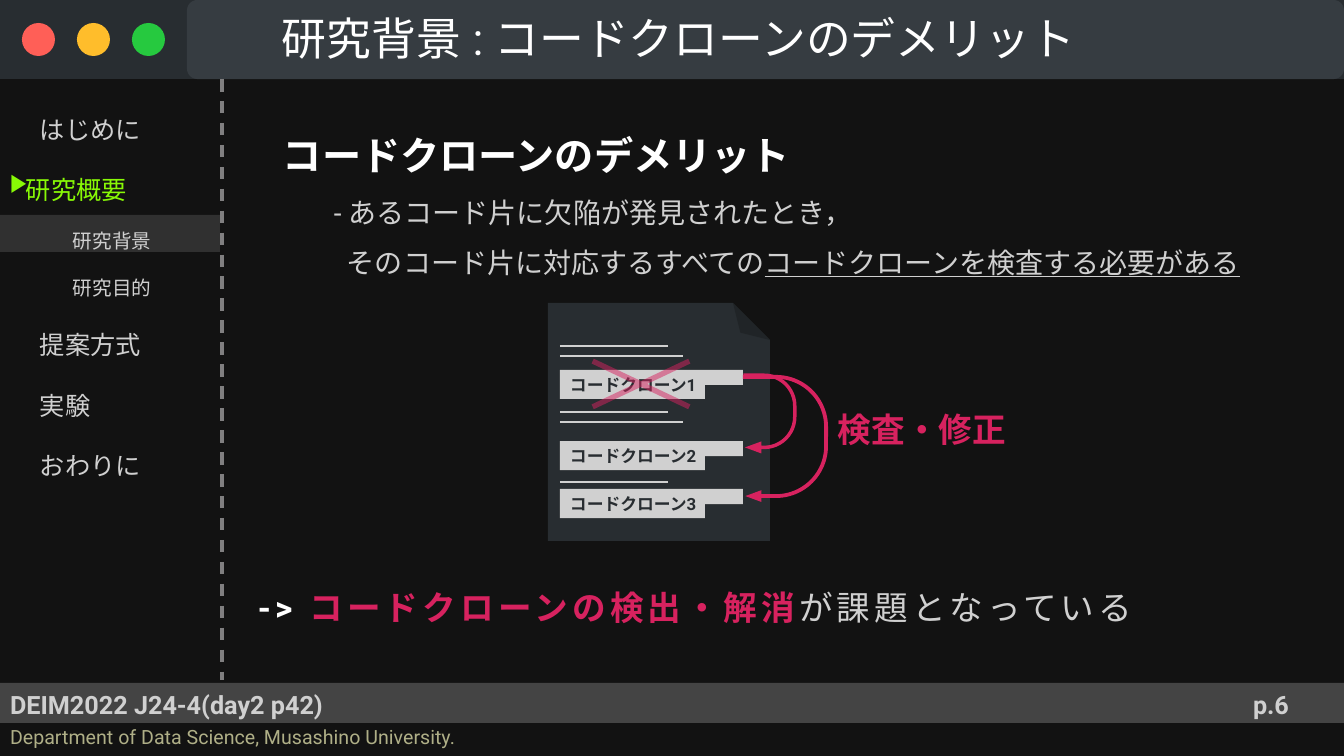
from dataclasses import dataclass

from lxml import etree
from pptx import Presentation
from pptx.dml.color import RGBColor
from pptx.enum.dml import MSO_LINE
from pptx.enum.lang import MSO_LANGUAGE_ID
from pptx.enum.shapes import MSO_CONNECTOR, MSO_SHAPE
from pptx.enum.text import MSO_ANCHOR, PP_ALIGN
from pptx.oxml.ns import qn
from pptx.util import Emu, Pt

RECT = MSO_SHAPE.RECTANGLE
ROUND = MSO_SHAPE.ROUNDED_RECTANGLE
OVAL = MSO_SHAPE.OVAL
FOLD = MSO_SHAPE.FOLDED_CORNER
CROSS = MSO_SHAPE.MATH_MULTIPLY
UTURN = MSO_SHAPE.U_TURN_ARROW
LINE = MSO_CONNECTOR.STRAIGHT
DASH = MSO_LINE.DASH
TOP, MIDDLE = MSO_ANCHOR.TOP, MSO_ANCHOR.MIDDLE
LEFT, CENTER = PP_ALIGN.LEFT, PP_ALIGN.CENTER
JAPANESE = MSO_LANGUAGE_ID.JAPANESE

SCALE = 914400 / 100.8
WIDTH, HEIGHT = 1344, 756


@dataclass(frozen=True)
class Theme:
    font: str = "Roboto"
    back: str = "121212"
    panel: str = "282D31"
    tab: str = "363C41"
    foot: str = "444444"
    mark: str = "303030"
    rule: str = "807F80"
    text: str = "D0D0D0"
    white: str = "FFFFFF"
    green: str = "88F906"
    olive: str = "AFAF87"
    pink: str = "D7225F"
    lights: tuple = ("FF5F57", "FFBD2B", "26C93F")
    title: int = 32
    head: int = 28
    key: int = 24
    body: int = 20
    base: int = 18
    small: int = 14
    tiny: int = 12


THEME = Theme()


def px(value):
    return Emu(round(value * SCALE))


def put(frame, text, new=True, size=THEME.base, color=THEME.text, bold=False,
        under=False, space=0, indent=0, lead=1.0, align=LEFT):
    """Add a run, in a new paragraph unless new is False."""
    para = frame.paragraphs[-1]
    if new:
        if para.runs:
            para = frame.add_paragraph()
        para.alignment = align
        para.line_spacing = lead
        if indent:
            props = para._p.get_or_add_pPr()
            props.set("marL", str(px(indent)))
            props.set("indent", "0")
    run = para.add_run()
    run.text = text
    font = run.font
    font.size, font.bold, font.underline = Pt(size), bold, under
    font.color.rgb = RGBColor.from_string(color)
    font.name = THEME.font
    font.language_id = JAPANESE
    props = run._r.get_or_add_rPr()
    etree.SubElement(props, qn("a:ea")).set("typeface", THEME.font)
    if space:
        props.set("spc", str(space * 100))


class Board:
    def __init__(self, theme):
        self.theme = theme
        self.deck = Presentation()
        self.deck.slide_width, self.deck.slide_height = px(WIDTH), px(HEIGHT)
        self.slide = self.deck.slides.add_slide(self.deck.slide_layouts[6])
        self.shapes = self.slide.shapes
        fill = self.slide.background.fill
        fill.solid()
        fill.fore_color.rgb = RGBColor.from_string(theme.back)

    def paint(self, item, color):
        item.shadow.inherit = False
        item.fill.solid()
        item.fill.fore_color.rgb = RGBColor.from_string(color)
        item.line.fill.background()
        return item

    def shape(self, kind, x, y, w, h, color, adjust=(), turn=0):
        item = self.shapes.add_shape(kind, px(x), px(y), px(w), px(h))
        for i, value in enumerate(adjust):
            item.adjustments[i] = value
        item.rotation = turn
        return self.paint(item, color)

    def outline(self, points, color):
        pen = self.shapes.build_freeform(*points[0], scale=SCALE)
        pen.add_line_segments(points[1:], close=True)
        return self.paint(pen.convert_to_shape(), color)

    def line(self, x1, y1, x2, y2, color, width, dash=None):
        item = self.shapes.add_connector(LINE, px(x1), px(y1), px(x2), px(y2))
        item.line.color.rgb = RGBColor.from_string(color)
        item.line.width = Pt(width)
        if dash:
            item.line.dash_style = dash
        etree.SubElement(item._element.spPr, qn("a:effectLst"))

    def frame(self, item, anchor=TOP, inset=(10, 5)):
        frame = item.text_frame
        frame.word_wrap = True
        frame.vertical_anchor = anchor
        frame.margin_left = frame.margin_right = px(inset[0])
        frame.margin_top = frame.margin_bottom = px(inset[1])
        return frame

    def box(self, x, y, w, h, **layout):
        item = self.shapes.add_textbox(px(x), px(y), px(w), px(h))
        return self.frame(item, **layout)


def chrome(board):
    t = board.theme
    # Window bar and footer
    board.shape(RECT, 0, 683, WIDTH, 40, t.foot)
    board.shape(RECT, 0, 0, WIDTH, 79, t.panel)
    for i, color in enumerate(t.lights):
        board.shape(OVAL, 22 + 55 * i, 23, 33, 33, color)
    board.shape(ROUND, 187, 0, WIDTH - 187, 79, t.tab, [0.13])
    board.line(222, 79, 222, 680, t.rule, 2.25, DASH)
    put(board.box(0, 684, 673, 40), "DEIM2022 J24-4(day2 p42)", bold=True)
    put(board.box(0, 720, 673, 34),
        "Department of Data Science, Musashino University.",
        size=t.small, color=t.olive)
    put(board.box(1198, 684, 146, 40, anchor=MIDDLE), "p.6",
        bold=True, align=CENTER)
    put(board.box(222, 6, 1122, 64, anchor=MIDDLE),
        "研究背景 : コードクローンのデメリット",
        size=t.title, color=t.white, indent=50)


def menu(board):
    t = board.theme
    # Section list with the current entry marked
    board.shape(RECT, 0, 215, 220, 37, t.mark)
    items = board.box(0, 79, 222, 602)
    main = dict(indent=30, lead=2.0)
    sub = dict(indent=63, lead=2.0, size=t.small)
    put(items, "はじめに", **main)
    put(items, "研究概要", indent=16, lead=2.0, color=t.green)
    for name in ("研究背景", "研究目的"):
        put(items, name, **sub)
    for name in ("提案方式", "実験", "おわりに"):
        put(items, name, **main)
    put(board.box(0, 161, 46, 40), "▶︎", color=t.green)


def body(board):
    t = board.theme
    # Heading and explanation
    body = board.box(221, 96, 1123, 200, inset=(12, 12))
    put(body, "コードクローンのデメリット", size=t.head, color=t.white,
        bold=True, indent=50, lead=1.5)
    put(body, "- あるコード片に欠陥が発見されたとき，", size=t.body,
        indent=101, lead=1.5)
    put(body, "そのコード片に対応するすべての", size=t.body,
        indent=114, lead=1.5)
    put(body, "コードクローンを検査する必要がある", new=False, size=t.body,
        under=True)
    # Conclusion
    end = board.box(248, 582, 1090, 60)
    style = dict(size=t.key, space=3)
    put(end, "-> ", color=t.white, bold=True, **style)
    put(end, "コードクローンの検出・解消", new=False, color=t.pink,
        bold=True, **style)
    put(end, "が課題となっている", new=False, **style)


def figure(board):
    t = board.theme
    # Source file with three clones
    page = board.shape(FOLD, 548, 303, 222, 238, t.panel, turn=180)
    page._element.spPr.find(qn("a:xfrm")).set("flipH", "1")
    left, notch, right = 560, 705, 743
    for i, y in enumerate((370, 441, 489), 1):
        clone = board.outline(
            [(left, y), (right, y), (right, y + 15), (notch, y + 15),
             (notch, y + 29), (left, y + 29)], t.text)
        put(board.frame(clone, anchor=MIDDLE), f"コードクローン{i}",
            size=t.tiny, color=t.panel, bold=True)
    for y, length in ((346, 108), (356, 123), (412, 108), (422, 123),
                      (482, 108)):
        board.line(left, y, left + length, y, t.text, 1.5)
    # Defect cross and arrows to the other clones
    cross = board.shape(CROSS, 548, 340, 186, 88, t.pink, [0.06])
    tint = cross._element.spPr.find(qn("a:solidFill"))[0]
    etree.SubElement(tint, qn("a:alpha")).set("val", "50000")
    board.shape(UTURN, 730, 387, 80, 53, t.pink,
                [0.066, 0.114, 0.31, 0.611, 0.972], 90)
    board.shape(UTURN, 722, 396, 127, 85, t.pink,
                [0.045, 0.069, 0.188, 0.611, 0.972], 90)
    put(board.box(828, 404, 190, 50), "検査・修正", size=t.key,
        color=t.pink, bold=True)


def main():
    board = Board(THEME)
    for part in (chrome, menu, body, figure):
        part(board)
    board.deck.save("out.pptx")


if __name__ == "__main__":
    main()
